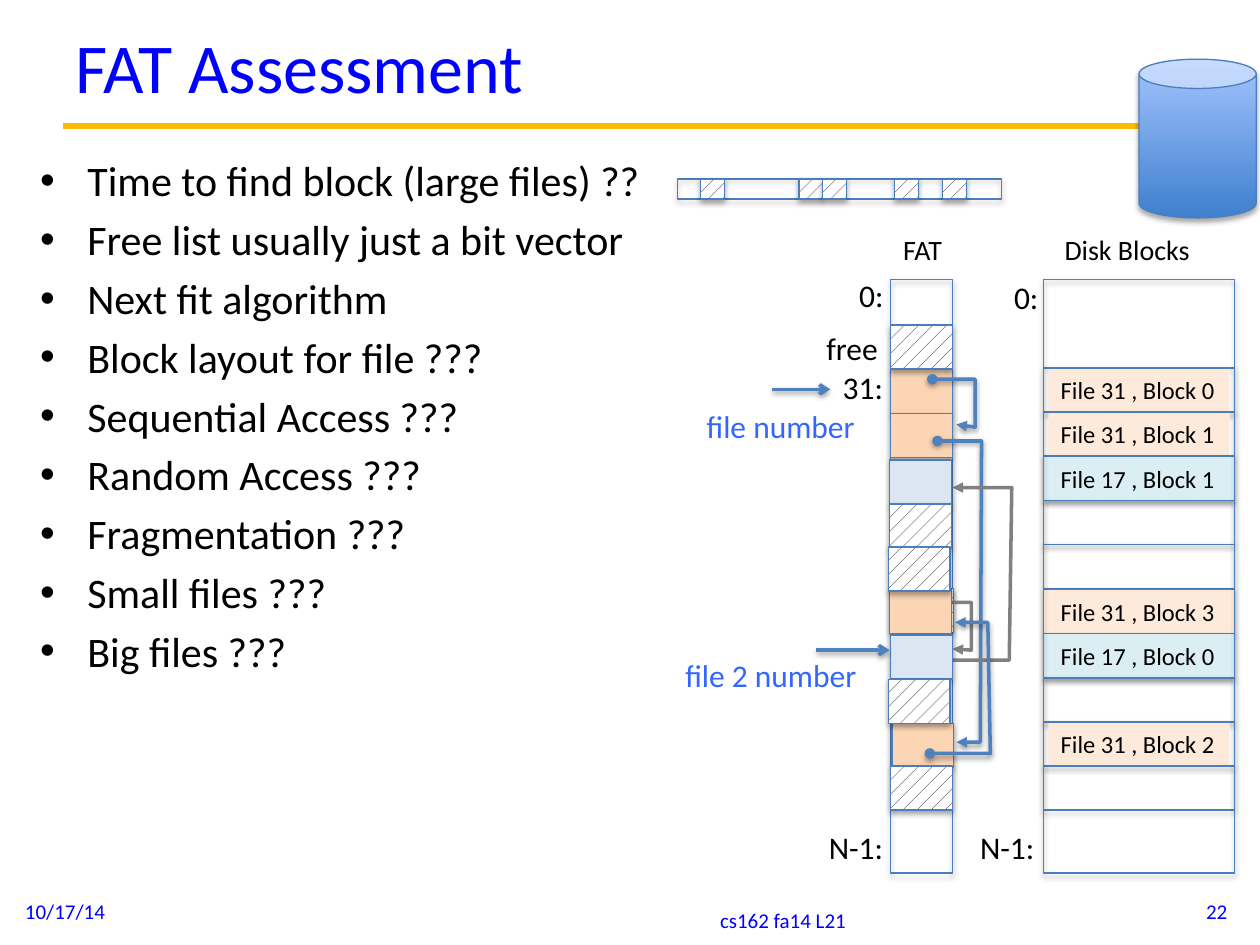
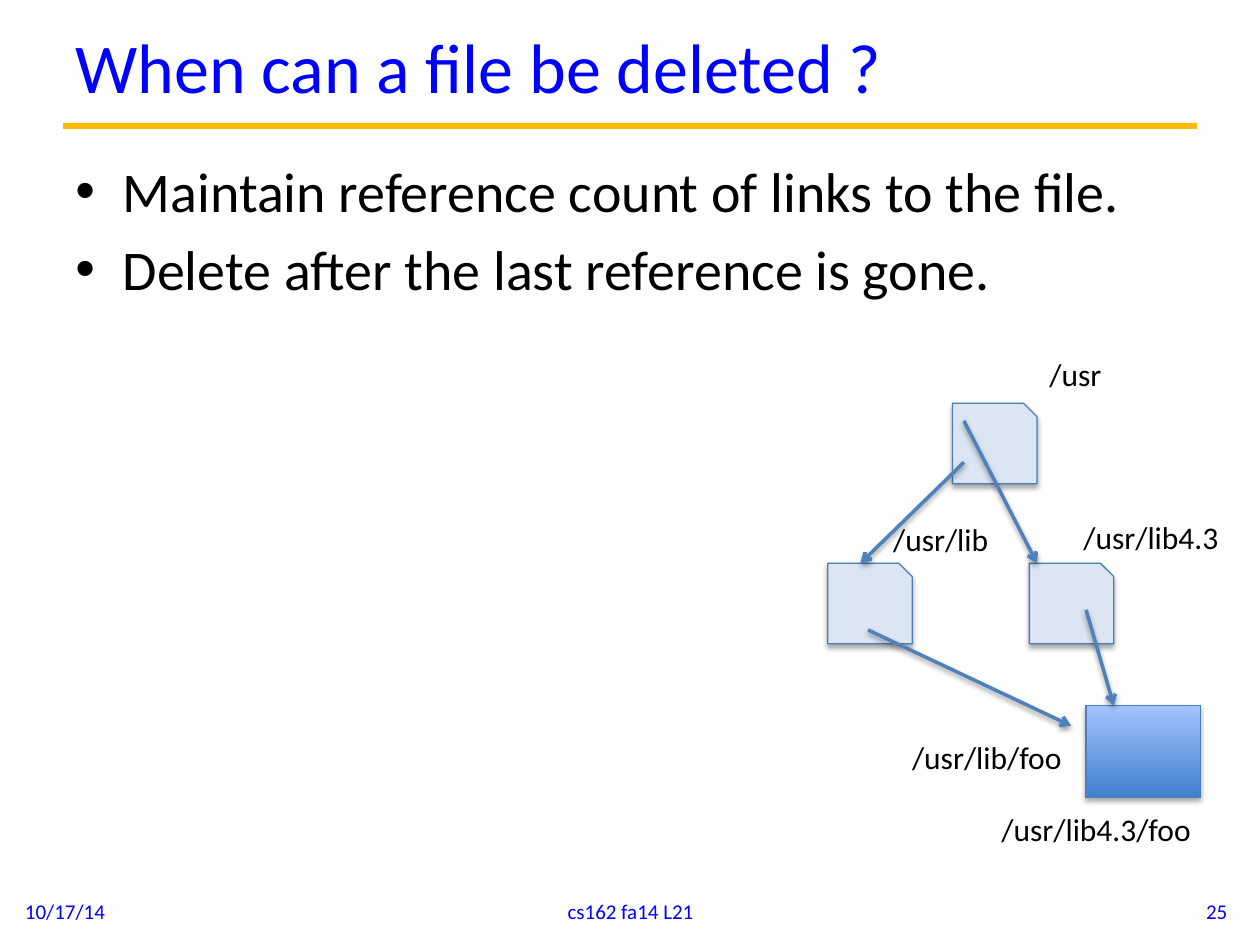
"""Build two file-system lecture slides: FAT assessment and file deletion."""
from dataclasses import dataclass
from typing import NamedTuple, Optional

from lxml.etree import SubElement
from pptx import Presentation
from pptx.dml.color import RGBColor
from pptx.enum.dml import MSO_PATTERN as Pattern
from pptx.enum.shapes import MSO_CONNECTOR as Connector, MSO_SHAPE as Preset
from pptx.enum.text import MSO_ANCHOR as Anchor, MSO_AUTO_SIZE as AutoSize, PP_ALIGN as Align
from pptx.oxml.ns import qn
from pptx.shapes.base import BaseShape
from pptx.slide import Slide
from pptx.util import Emu, Pt

EMU_PER_PX = 9144


@dataclass(frozen=True)
class Theme:
    font: str = "Calibri"
    black: str = "000000"
    white: str = "FFFFFF"
    blue: str = "0000FF"
    note: str = "3366FF"
    gold: str = "FBBA03"
    outline: str = "4B7EBC"
    arrow: str = "4F81BD"
    grey: str = "808080"
    file31: str = "FCD5B5"
    file31_block: str = "FDEADA"
    file17: str = "DCE6F2"
    file17_block: str = "DBEEF4"
    gradient: tuple[str, str] = ("3F80CE", "A4C4FF")
    title_size: int = 40
    body_size: int = 32
    small_body_size: int = 24
    label_size: int = 18
    heading_size: int = 16
    block_size: int = 14
    footer_size: int = 12
    outline_width: float = 0.75
    arrow_width: float = 2
    rule_width: float = 3.75


THEME = Theme()
FREE = "free"
GRADIENT = "gradient"


class Box(NamedTuple):
    left: int
    top: int
    width: int
    height: int


class Shadow(NamedTuple):
    blur: int
    distance: int
    alpha: int


class Label(NamedTuple):
    text: str
    box: Box
    size: int = THEME.label_size
    colour: str = THEME.black
    fill: Optional[str] = None


class FatCell(NamedTuple):
    left: int
    top: int
    fill: str


class DiskBlock(NamedTuple):
    text: str = ""
    fill: Optional[str] = None
    whole: bool = False


class Link(NamedTuple):
    points: list[tuple[int, int]]
    colour: str = THEME.arrow
    head: str = "oval"


class Arrow(NamedTuple):
    start: tuple[int, int]
    end: tuple[int, int]


SHAPE_SHADOW = Shadow(40000, 23000, 35000)
LINE_SHADOW = Shadow(40000, 20000, 38000)


def px(value: int) -> Emu:
    """Turn px into EMU."""
    return Emu(value * EMU_PER_PX)


def rgb(colour: str) -> RGBColor:
    """Turn a hex string into a colour."""
    return RGBColor.from_string(colour)


def set_shadow(shape: BaseShape, shadow: Optional[Shadow]) -> None:
    """Replace the theme shadow by the given one, or by none."""
    properties = shape.element.spPr
    effects = properties.find(qn("a:effectLst"))
    if effects is None:
        effects = SubElement(properties, qn("a:effectLst"))
    if shadow:
        outer = SubElement(effects, qn("a:outerShdw"), blurRad=str(shadow.blur),
                           dist=str(shadow.distance), dir="5400000", rotWithShape="0")
        colour = SubElement(outer, qn("a:srgbClr"), val=THEME.black)
        SubElement(colour, qn("a:alpha"), val=str(shadow.alpha))


def set_line(shape: BaseShape, colour: str, width: float, head: str = "", tail: str = "") -> None:
    """Style an outline and its arrowheads."""
    shape.line.color.rgb = rgb(colour)
    shape.line.width = Pt(width)
    line = shape.element.spPr.find(qn("a:ln"))
    for tag, kind in (("a:headEnd", head), ("a:tailEnd", tail)):
        if kind:
            SubElement(line, qn(tag), type=kind)


def add_shape(slide: Slide, box: Box, fill: Optional[str] = None,
              preset: Preset = Preset.RECTANGLE) -> None:
    """Draw an outlined shape with a soft shadow."""
    shape = slide.shapes.add_shape(preset, *map(px, box))
    if fill is None:
        shape.fill.background()
    elif fill == FREE:
        shape.fill.patterned()
        shape.fill.pattern = Pattern.PERCENT_10
        shape.fill.fore_color.rgb = rgb(THEME.black)
        shape.fill.back_color.rgb = rgb(THEME.white)
    elif fill == GRADIENT:
        shape.fill.gradient()
        shape.fill.gradient_angle = 90
        for stop, colour in zip(shape.fill.gradient_stops, THEME.gradient):
            stop.color.rgb = rgb(colour)
    else:
        shape.fill.solid()
        shape.fill.fore_color.rgb = rgb(fill)
    set_line(shape, THEME.outline, THEME.outline_width)
    shape.shadow.inherit = False
    set_shadow(shape, SHAPE_SHADOW)


def add_text(slide: Slide, box: Box, lines: list[str], size: int, colour: str,
             align: Align = Align.LEFT, anchor: Anchor = Anchor.TOP,
             bullets: bool = False) -> BaseShape:
    """Add a wrapping text box with one paragraph for each line."""
    shape = slide.shapes.add_textbox(*map(px, box))
    frame = shape.text_frame
    frame.word_wrap = True
    frame.vertical_anchor = anchor
    frame.text = "\n".join(lines)
    for para in frame.paragraphs:
        para.alignment = align
        if bullets:
            properties = para._p.get_or_add_pPr()
            properties.set("marL", "342900")
            properties.set("indent", "-342900")
            before = SubElement(properties, qn("a:spcBef"))
            SubElement(before, qn("a:spcPct"), val="20000")
            SubElement(properties, qn("a:buFont"), typeface="Arial")
            SubElement(properties, qn("a:buChar"), char="•")
        para.font.name = THEME.font
        para.font.size = Pt(size)
        para.font.color.rgb = rgb(colour)
    return shape


def add_label(slide: Slide, label: Label) -> None:
    """Add a one-line label that fits its text."""
    shape = add_text(slide, label.box, [label.text], label.size, label.colour)
    shape.text_frame.word_wrap = False
    shape.text_frame.auto_size = AutoSize.SHAPE_TO_FIT_TEXT
    if label.fill:
        shape.fill.solid()
        shape.fill.fore_color.rgb = rgb(label.fill)


def add_line(slide: Slide, arrow: Arrow, colour: str = THEME.arrow,
             width: float = THEME.arrow_width, tail: str = "arrow",
             shadow: Optional[Shadow] = LINE_SHADOW) -> None:
    """Draw a straight line, by default with an arrowhead."""
    line = slide.shapes.add_connector(Connector.STRAIGHT, *map(px, arrow.start + arrow.end))
    set_line(line, colour, width, tail=tail)
    set_shadow(line, shadow)


def add_link(slide: Slide, link: Link) -> None:
    """Draw a bent pointer between two FAT cells."""
    points = [(px(x), px(y)) for x, y in link.points]
    builder = slide.shapes.build_freeform(*points[0])
    builder.add_line_segments(points[1:], close=False)
    shape = builder.convert_to_shape()
    shape.fill.background()
    set_line(shape, link.colour, THEME.arrow_width, link.head, "triangle")
    shape.shadow.inherit = False
    set_shadow(shape, LINE_SHADOW if link.colour == THEME.arrow else None)


def add_page(deck: Presentation, title: str, number: str, footer: Box) -> Slide:
    """Add a slide with its title, gold rule and footers."""
    page = deck.slides.add_slide(deck.slide_layouts[6])
    add_line(page, Arrow((50, 100), (950, 100)), THEME.gold, THEME.rule_width, "", None)
    add_text(page, Box(50, 4, 900, 96), [title], THEME.title_size, THEME.blue,
             anchor=Anchor.MIDDLE)
    for box, text, align in ((Box(10, 703, 233, 40), "10/17/14", Align.LEFT),
                             (footer, "cs162 fa14 L21", Align.CENTER),
                             (Box(751, 703, 233, 40), number, Align.RIGHT)):
        add_text(page, box, [text], THEME.footer_size, THEME.blue, align, Anchor.MIDDLE)
    return page


def add_disk_blocks(page: Slide) -> None:
    """Draw the column of disk blocks."""
    blocks = [
        DiskBlock("File 31 , Block 0", THEME.file31_block),
        DiskBlock("File 31 , Block 1", THEME.file31_block),
        DiskBlock("File 17 , Block 1", THEME.file17_block, True),
        DiskBlock(), DiskBlock(),
        DiskBlock("File 31 , Block 3", THEME.file31_block, True),
        DiskBlock("File 17 , Block 0", THEME.file17_block, True),
        DiskBlock(),
        DiskBlock("File 31 , Block 2", THEME.file31_block),
        DiskBlock(),
    ]
    for row, block in enumerate(blocks):
        top = 292 + round(35.1 * row)
        add_shape(page, Box(828, top, 152, 35), block.fill if block.whole else None)
        if block.text:
            add_label(page, Label(block.text, Box(832, top + 1, 144, 34), THEME.block_size,
                                  fill=block.fill))
    add_shape(page, Box(828, 222, 152, 471))


def add_fat(page: Slide) -> None:
    """Draw the FAT column with its chained entries."""
    add_shape(page, Box(707, 222, 49, 471))
    lower_cells = [FatCell(707, 293, THEME.file31), FatCell(707, 328, THEME.file31),
                   FatCell(708, 574, THEME.file31), FatCell(707, 258, FREE),
                   FatCell(708, 467, FREE)]
    links = [
        Link([(740, 301), (774, 301), (774, 339), (759, 337)]),
        Link([(744, 350), (779, 350), (778, 589), (759, 589)]),
        Link([(737, 478), (771, 478), (771, 516), (756, 515)], THEME.grey),
        Link([(741, 524), (801, 524), (803, 387), (756, 387)], THEME.grey, "diamond"),
        Link([(738, 598), (786, 598), (784, 494), (758, 494)]),
    ]
    upper_cells = [FatCell(706, 468, THEME.file31), FatCell(707, 504, THEME.file17),
                   FatCell(706, 365, THEME.file17), FatCell(706, 400, FREE),
                   FatCell(705, 434, FREE), FatCell(705, 539, FREE), FatCell(707, 608, FREE)]
    for cell in lower_cells:
        add_shape(page, Box(cell.left, cell.top, 49, 35), cell.fill)
    for link in links:
        add_link(page, link)
    for cell in upper_cells:
        add_shape(page, Box(cell.left, cell.top, 49, 35), cell.fill)


def build_fat_page(deck: Presentation) -> None:
    """Build the FAT assessment slide."""
    page = add_page(deck, "FAT Assessment", "22", Box(463, 710, 317, 40))
    add_text(page, Box(22, 118, 637, 615), [
        "Time to find block (large files) ??", "Free list usually just a bit vector",
        "Next fit algorithm", "Block layout for file ???", "Sequential Access ???",
        "Random Access ???", "Fragmentation ???", "Small files ???", "Big files ???",
    ], THEME.small_body_size, THEME.black, bullets=True)
    add_disk_blocks(page)
    add_fat(page)
    add_shape(page, Box(904, 47, 93, 126), GRADIENT, Preset.CAN)
    for label in (
        Label("Disk Blocks", Box(835, 180, 121, 37), THEME.heading_size),
        Label("FAT", Box(707, 180, 54, 37), THEME.heading_size),
        Label("N-1:", Box(768, 652, 64, 40)),
        Label("0:", Box(795, 216, 40, 40)),
        Label("0:", Box(672, 214, 40, 40)),
        Label("N-1:", Box(648, 652, 64, 40)),
        Label("31:", Box(659, 287, 53, 40)),
        Label("free", Box(646, 256, 62, 40)),
        Label("file number", Box(551, 318, 139, 40), colour=THEME.note),
        Label("file 2 number", Box(534, 516, 158, 40), colour=THEME.note),
    ):
        add_label(page, label)
    for arrow in (Arrow((613, 309), (659, 309)), Arrow((648, 516), (706, 516))):
        add_line(page, arrow)
    add_shape(page, Box(538, 142, 257, 16))
    for left in (556, 634, 653, 710, 748):
        add_shape(page, Box(left, 142, 19, 16), FREE)


def build_delete_page(deck: Presentation) -> None:
    """Build the slide on deleting linked files."""
    page = add_page(deck, "When can a file be deleted ?", "25", Box(342, 703, 317, 40))
    add_text(page, Box(50, 119, 900, 570), [
        "Maintain reference count of links to the file.",
        "Delete after the last reference is gone.",
    ], THEME.body_size, THEME.black, bullets=True)
    add_shape(page, Box(862, 560, 91, 73), GRADIENT)
    for left, top in ((756, 320), (817, 447), (657, 447)):
        add_shape(page, Box(left, top, 67, 64), THEME.file17, Preset.SNIP_1_RECTANGLE)
    for label in (
        Label("/usr", Box(823, 277, 62, 40)),
        Label("/usr/lib4.3", Box(850, 406, 128, 40)),
        Label("/usr/lib4.3/foo", Box(785, 638, 173, 40)),
        Label("/usr/lib", Box(699, 408, 96, 40)),
        Label("/usr/lib/foo", Box(714, 581, 141, 40)),
    ):
        add_label(page, label)
    for arrow in (Arrow((765, 334), (823, 447)), Arrow((862, 484), (884, 560)),
                  Arrow((765, 367), (683, 447)), Arrow((689, 500), (850, 576))):
        add_line(page, arrow)


def main() -> None:
    """Build and save the deck."""
    deck = Presentation()
    deck.slide_width, deck.slide_height = px(1000), px(750)
    build_fat_page(deck)
    build_delete_page(deck)
    deck.save("out.pptx")


if __name__ == "__main__":
    main()
